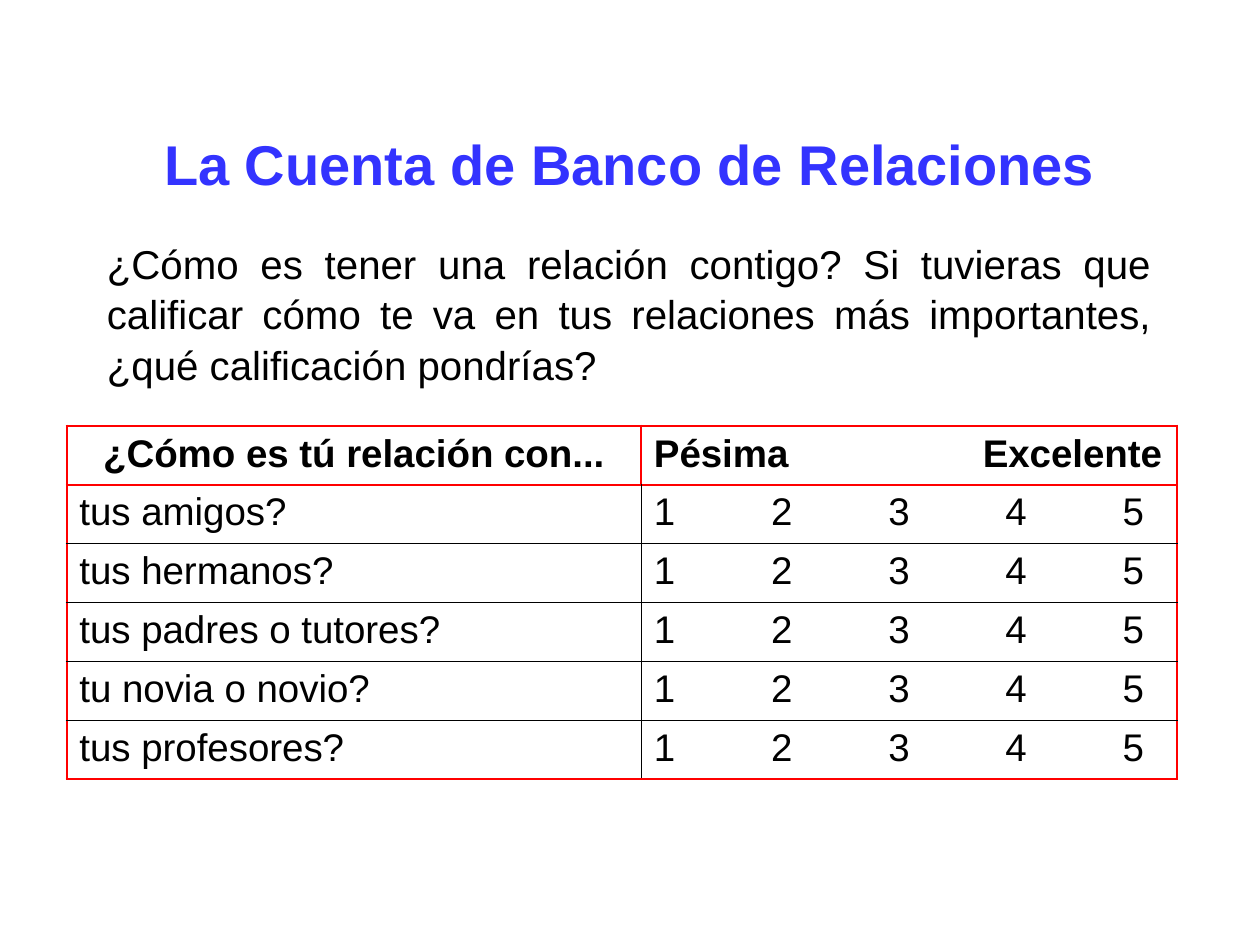
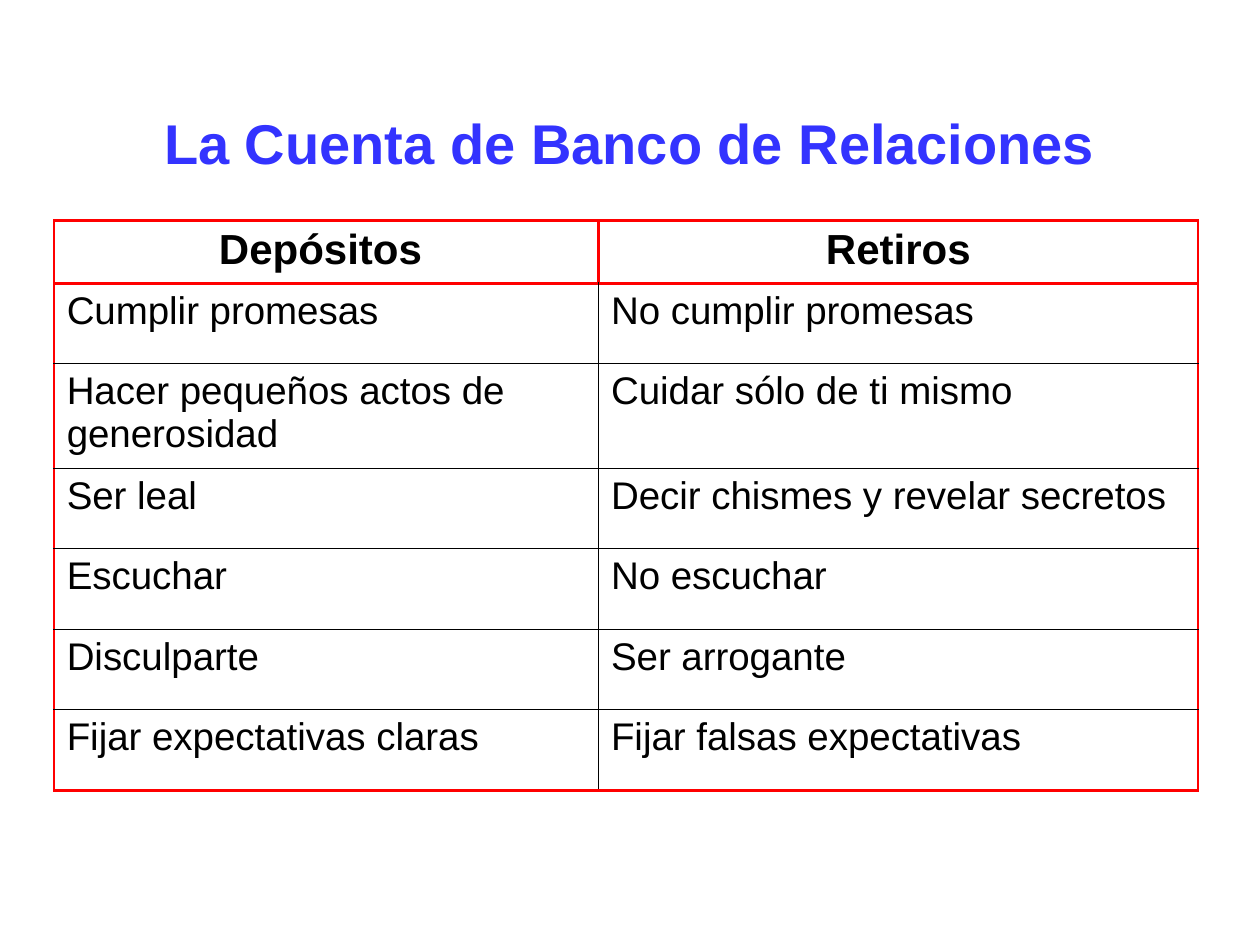
from dataclasses import dataclass

from lxml import etree
from pptx import Presentation
from pptx.dml.color import RGBColor
from pptx.enum.text import MSO_ANCHOR, PP_ALIGN
from pptx.oxml.ns import qn
from pptx.util import Inches, Pt

LEFT, CENTER, JUSTIFY = PP_ALIGN.LEFT, PP_ALIGN.CENTER, PP_ALIGN.JUSTIFY
TOP, MIDDLE = MSO_ANCHOR.TOP, MSO_ANCHOR.MIDDLE


@dataclass(frozen=True)
class Theme:
    font: str = "Arial"
    title_color: str = "3333FF"
    text_color: str = "000000"
    frame_color: str = "FF0000"
    grid_color: str = "000000"
    frame_width: float = 1.47
    grid_width: float = 0.45
    title_size: int = 32
    question_size: int = 23
    cell_size: int = 22


THEME = Theme()
TITLE = "La Cuenta de Banco de Relaciones"
QUESTION = (
    "¿Cómo es tener una relación contigo? Si tuvieras que calificar cómo te va "
    "en tus relaciones más importantes, ¿qué calificación pondrías?"
)
RELATIONS = ["tus amigos?", "tus hermanos?", "tus padres o tutores?",
             "tu novia o novio?", "tus profesores?"]
SCALE = "\t".join("12345")
RATINGS = {
    "rows": [("¿Cómo es tú relación con...", "Pésima\tExcelente")]
            + [(relation, SCALE) for relation in RELATIONS],
    "position": (0.53, 3.38),
    "columns": (4.56, 4.25),
    "heights": [2.79 / 6] * 6,
    "header_size": 22,
}
ACTIONS = {
    "rows": [
        ("Depósitos ", "Retiros"),
        ("Cumplir promesas", "No cumplir promesas"),
        ("Hacer pequeños actos de generosidad", "Cuidar sólo de ti mismo"),
        ("Ser leal", "Decir chismes y revelar secretos"),
        ("Escuchar", "No escuchar"),
        ("Disculparte", "Ser arrogante"),
        ("Fijar expectativas claras", "Fijar falsas expectativas"),
    ],
    "position": (0.43, 1.75),
    "columns": (4.32, 4.76),
    "heights": [0.5, 0.63, 0.83] + [0.64] * 4,
    "header_size": 24,
}
SLIDES = [
    {"title_top": 0.67, "question": QUESTION, "table": RATINGS},
    {"title_top": 0.5, "question": None, "table": ACTIONS},
]
HEADER_TABS = [2.61]
SCALE_TABS = [0.93 * step for step in range(1, 5)]


def style_paragraph(paragraph, size, color, bold=False, alignment=LEFT):
    paragraph.alignment = alignment
    font = paragraph.font
    font.name, font.size, font.bold = THEME.font, Pt(size), bold
    font.color.rgb = RGBColor.from_string(color)


def add_text(slide, text, top, height, anchor, **style):
    box = slide.shapes.add_textbox(Inches(0.75), Inches(top), Inches(8.5), Inches(height))
    frame = box.text_frame
    frame.word_wrap = True
    frame.vertical_anchor = anchor
    frame.text = text
    style_paragraph(frame.paragraphs[0], **style)
    return frame.paragraphs[0]


def set_tabs(paragraph, stops):
    properties = paragraph._p.get_or_add_pPr()
    tab_list = etree.SubElement(properties, qn("a:tabLst"))
    # Tab stops come before the default run properties.
    run_defaults = properties.find(qn("a:defRPr"))
    if run_defaults is not None:
        run_defaults.addprevious(tab_list)
    for stop in stops:
        etree.SubElement(tab_list, qn("a:tab"), pos=str(Inches(stop)), algn="l")


def set_borders(cell, framed):
    """Draw the sides in framed as red frame lines and the others as thin grid lines."""
    properties = cell._tc.get_or_add_tcPr()
    for index, side in enumerate("LRTB"):
        in_frame = side in framed
        width = THEME.frame_width if in_frame else THEME.grid_width
        color = THEME.frame_color if in_frame else THEME.grid_color
        line = etree.Element(qn(f"a:ln{side}"), w=str(Pt(width)))
        fill = etree.SubElement(line, qn("a:solidFill"))
        etree.SubElement(fill, qn("a:srgbClr"), val=color)
        properties.insert(index, line)


def framed_sides(row, column, last_row, last_column):
    if row == 0:
        return "LRTB"
    rules = {"L": column == 0, "R": column == last_column,
             "T": row == 1, "B": row == last_row}
    return [side for side, framed in rules.items() if framed]


def add_framed_table(slide, rows, position, columns, heights, header_size):
    left, top = position
    table = slide.shapes.add_table(
        len(rows), len(columns), Inches(left), Inches(top),
        Inches(sum(columns)), Inches(sum(heights))).table
    table.first_row = table.horz_banding = False
    for column, width in zip(table.columns, columns):
        column.width = Inches(width)
    for row, height in zip(table.rows, heights):
        row.height = Inches(height)
    for row, texts in enumerate(rows):
        header = row == 0
        for column, text in enumerate(texts):
            cell = table.cell(row, column)
            cell.text = text
            cell.fill.background()
            paragraph = cell.text_frame.paragraphs[0]
            tabbed = "\t" in text
            style_paragraph(
                paragraph, header_size if header else THEME.cell_size,
                THEME.text_color, bold=header,
                alignment=CENTER if header and not tabbed else LEFT)
            if tabbed:
                set_tabs(paragraph, HEADER_TABS if header else SCALE_TABS)
            set_borders(cell, framed_sides(row, column, len(rows) - 1, len(columns) - 1))


def main():
    presentation = Presentation()
    presentation.slide_width, presentation.slide_height = Inches(10), Inches(7.5)
    for content in SLIDES:
        slide = presentation.slides.add_slide(presentation.slide_layouts[6])
        add_text(slide, TITLE, content["title_top"], 1.25, MIDDLE, size=THEME.title_size,
                 color=THEME.title_color, bold=True, alignment=CENTER)
        if content["question"]:
            question = add_text(slide, content["question"], 1.83, 4.5, TOP,
                                size=THEME.question_size, color=THEME.text_color,
                                alignment=JUSTIFY)
            question.line_spacing = 1.05
        add_framed_table(slide, **content["table"])
    presentation.save("out.pptx")


if __name__ == "__main__":
    main()
